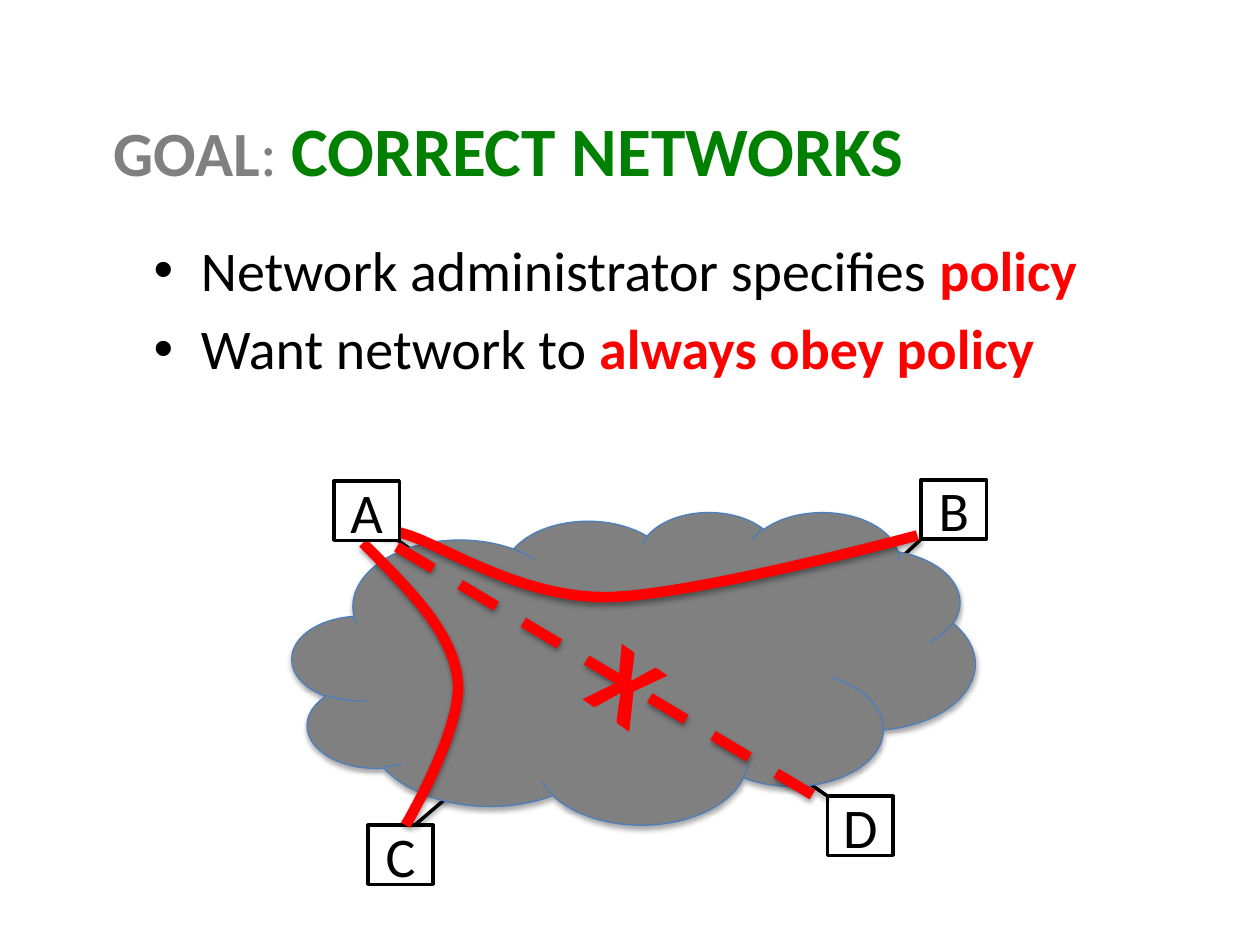
"""Build the slide on correct networks, with its cloud, hosts and policy paths."""
from lxml import etree
from pptx import Presentation
from pptx.dml.color import RGBColor
from pptx.enum.dml import MSO_LINE
from pptx.enum.shapes import MSO_CONNECTOR, MSO_SHAPE
from pptx.enum.text import MSO_ANCHOR, MSO_AUTO_SIZE, PP_ALIGN
from pptx.oxml.ns import qn
from pptx.util import Pt

STRAIGHT = MSO_CONNECTOR.STRAIGHT
RECTANGLE, CLOUD = MSO_SHAPE.RECTANGLE, MSO_SHAPE.CLOUD
DASH = MSO_LINE.DASH
MIDDLE, TOP = MSO_ANCHOR.MIDDLE, MSO_ANCHOR.TOP
LEFT, CENTER = PP_ALIGN.LEFT, PP_ALIGN.CENTER
GROW = MSO_AUTO_SIZE.SHAPE_TO_FIT_TEXT

BLACK = RGBColor(0x00, 0x00, 0x00)
WHITE = RGBColor(0xFF, 0xFF, 0xFF)
GRAY = RGBColor(0x80, 0x80, 0x80)
GREEN = RGBColor(0x00, 0x80, 0x00)
RED = RGBColor(0xFF, 0x00, 0x00)
BLUE = RGBColor(0x4B, 0x7E, 0xBC)

FONT = "Calibri"
HOST_W, HOST_H = 37.4, 33.8
CURVE_STEPS = 24


def place(sp, left, top, width, height):
    sp.left, sp.top, sp.width, sp.height = Pt(left), Pt(top), Pt(width), Pt(height)


def add_run(p, text, size, color, bold=False):
    r = p.add_run()
    r.text = text
    r.font.name = FONT
    r.font.size = Pt(size)
    r.font.bold = bold
    r.font.color.rgb = color


def set_line(sp, color, width):
    sp.line.color.rgb = color
    sp.line.width = Pt(width)


def add_shadow(sp, opacity=38, distance=1.6):
    effects = etree.SubElement(sp._element.spPr, qn("a:effectLst"))
    shadow = etree.SubElement(
        effects, qn("a:outerShdw"), blurRad=str(Pt(3.1)), dist=str(Pt(distance)),
        dir="5400000", rotWithShape="0")
    color = etree.SubElement(shadow, qn("a:srgbClr"), val=str(BLACK))
    etree.SubElement(color, qn("a:alpha"), val=str(opacity * 1000))


def add_title(s):
    sp = s.shapes.title
    place(sp, 57.6, 40.3, 648, 90)
    sp.text_frame.vertical_anchor = MIDDLE
    p = sp.text_frame.paragraphs[0]
    p.alignment = LEFT
    add_run(p, "GOAL", 36, GRAY, True)
    add_run(p, ": ", 36, GRAY)
    add_run(p, "CORRECT NETWORKS", 39.6, GREEN, True)


def add_bullets(s, items):
    sp = s.placeholders[1]
    place(sp, 80.6, 131, 648, 356.4)
    tf = sp.text_frame
    tf.vertical_anchor = TOP
    for i, (plain, strong) in enumerate(items):
        p = tf.add_paragraph() if i else tf.paragraphs[0]
        p.space_before = Pt(6.4 if i else 0)
        add_run(p, plain, 32, BLACK)
        add_run(p, strong, 32, RED, True)


def add_host(s, name, left, top):
    sp = s.shapes.add_shape(RECTANGLE, Pt(left), Pt(top), Pt(HOST_W), Pt(HOST_H))
    sp.shadow.inherit = False
    sp.fill.solid()
    sp.fill.fore_color.rgb = WHITE
    set_line(sp, BLACK, 2)
    sp.text_frame.vertical_anchor = MIDDLE
    p = sp.text_frame.paragraphs[0]
    p.alignment = CENTER
    add_run(p, name, 32, BLACK)


def add_link(s, start, end, color=BLACK, width=2, dash=None):
    sp = s.shapes.add_connector(STRAIGHT, *(Pt(v) for v in start + end))
    set_line(sp, color, width)
    if dash:
        sp.line.dash_style = dash
    add_shadow(sp)


def add_cloud(s):
    sp = s.shapes.add_shape(CLOUD, Pt(167), Pt(292.3), Pt(390.2), Pt(178.6))
    sp.fill.solid()
    sp.fill.fore_color.rgb = GRAY
    set_line(sp, BLUE, 0.75)
    add_shadow(sp, 35, 1.8)


def bezier(p0, p1, p2, p3, t):
    u = 1 - t
    weights = (u ** 3, 3 * u * u * t, 3 * u * t * t, t ** 3)
    return tuple(sum(w * v for w, v in zip(weights, axis))
                 for axis in zip(p0, p1, p2, p3))


def add_curve(s, knots):
    """Draw joined cubic curves; knots are a start and three points per curve."""
    points = [bezier(*knots[i:i + 4], step / CURVE_STEPS)
              for i in range(0, len(knots) - 1, 3)
              for step in range(1, CURVE_STEPS + 1)]
    builder = s.shapes.build_freeform(Pt(knots[0][0]), Pt(knots[0][1]))
    builder.add_line_segments([(Pt(x), Pt(y)) for x, y in points], close=False)
    sp = builder.convert_to_shape()
    sp.fill.background()
    set_line(sp, RED, 6)
    add_shadow(sp)


def add_cross(s):
    sp = s.shapes.add_textbox(Pt(336.2), Pt(349.9), Pt(48.2), Pt(79.9))
    sp.rotation = 34.8
    tf = sp.text_frame
    tf.word_wrap = False
    tf.auto_size = GROW
    add_run(tf.paragraphs[0], "X", 60, RED, True)


def main():
    prs = Presentation()
    prs.slide_width, prs.slide_height = Pt(720), Pt(540)
    s = prs.slides.add_slide(prs.slide_layouts[1])
    add_title(s)
    add_bullets(s, [("Network administrator specifies ", "policy"),
                    ("Want network to ", "always obey policy")])
    for name, left, top in (("B", 526.3, 274.3), ("C", 210.2, 471.6),
                            ("D", 473, 455)):
        add_host(s, name, left, top)
    for start, end in (((227.5, 308.9), (246.2, 321.8)),
                       ((236.9, 471.6), (256.3, 455)),
                       ((507.6, 325.4), (526.3, 308.2)),
                       ((454.3, 442.1), (473, 455))):
        add_link(s, start, end)
    add_cloud(s)
    add_curve(s, [(223.2, 305.3), (217.4, 302.4), (211.7, 299.5), (231.8, 305.3),
                  (251.6, 311), (295.9, 340.9), (344.9, 341.3),
                  (393.8, 341.3), (524.2, 306), (524.2, 306)])
    add_curve(s, [(207.4, 310.3), (232.6, 335.5), (257.8, 360), (261.4, 387.4),
                  (265.7, 414), (231.8, 471.6), (231.8, 471.6)])
    add_link(s, (226.8, 312.5), (471.6, 458.6), RED, 6, DASH)
    add_cross(s)
    add_host(s, "A", 190.8, 275)
    prs.save("out.pptx")


if __name__ == "__main__":
    main()
